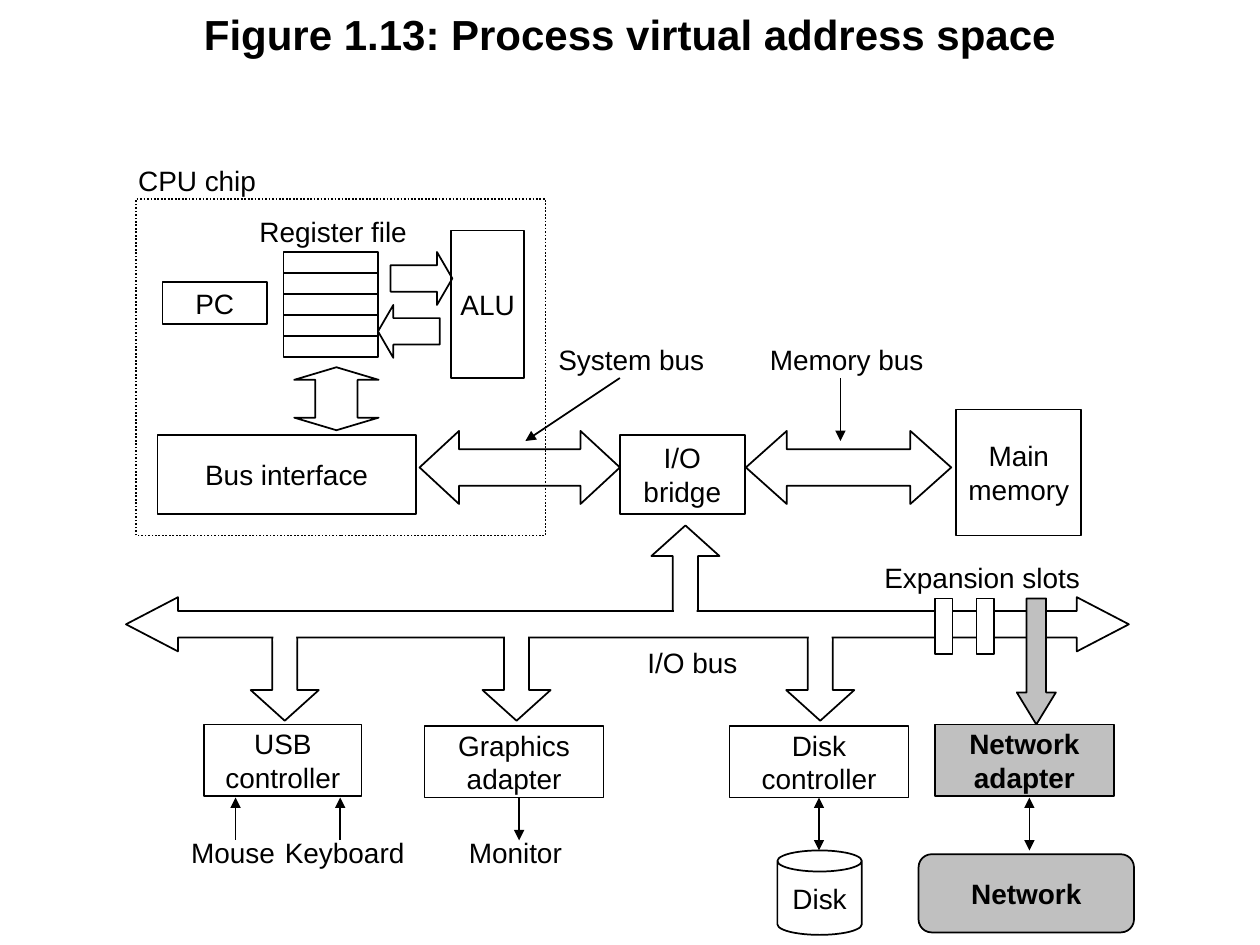
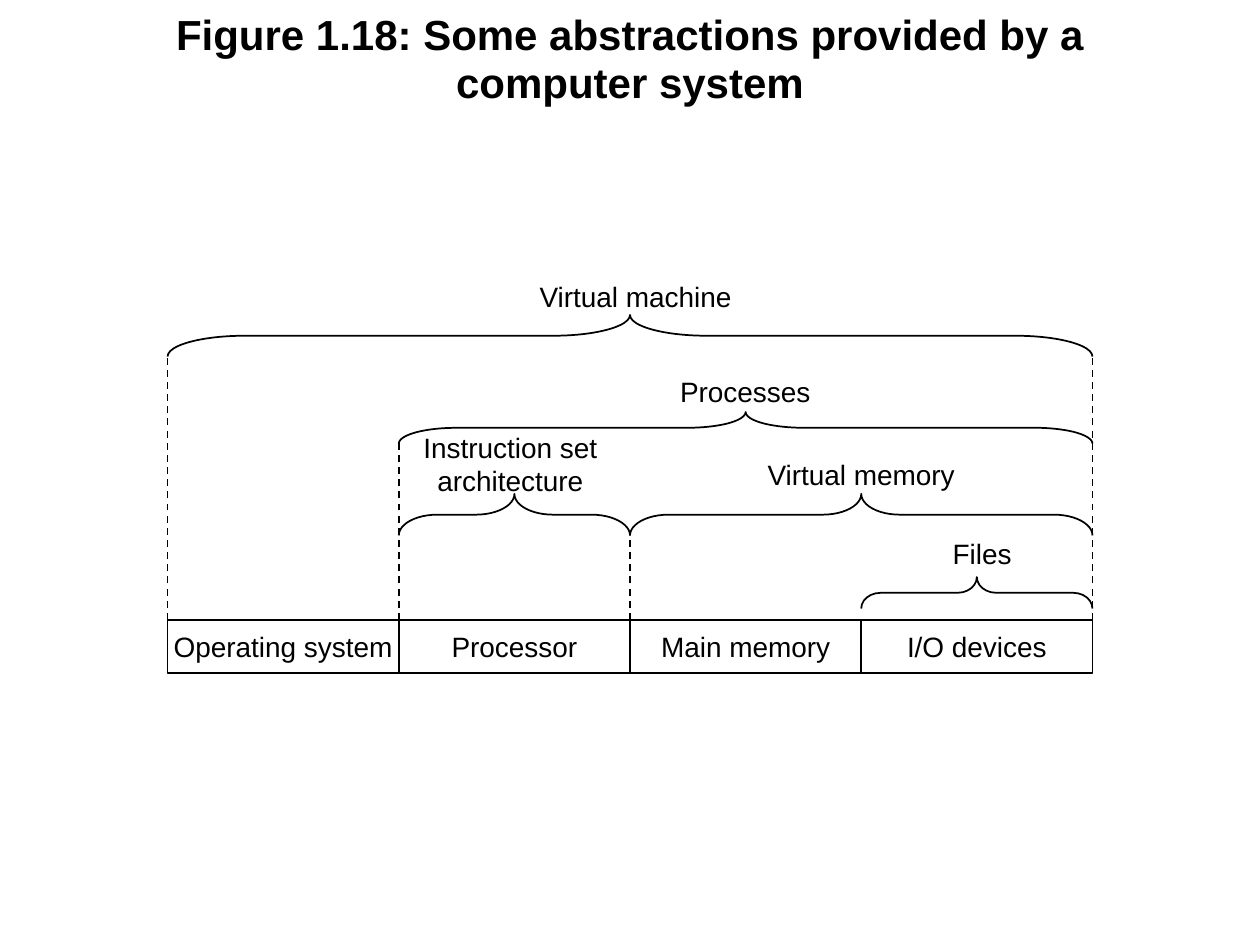
from lxml import etree
from pptx import Presentation
from pptx.dml.color import RGBColor
from pptx.enum.dml import MSO_LINE
from pptx.enum.shapes import MSO_CONNECTOR, MSO_SHAPE
from pptx.enum.text import MSO_ANCHOR, MSO_AUTO_SIZE, PP_ALIGN
from pptx.oxml.ns import qn
from pptx.util import Inches, Pt

RECT, ROUNDED, CAN = MSO_SHAPE.RECTANGLE, MSO_SHAPE.ROUNDED_RECTANGLE, MSO_SHAPE.CAN
LEFT, RIGHT = MSO_SHAPE.LEFT_ARROW, MSO_SHAPE.RIGHT_ARROW
UP, DOWN = MSO_SHAPE.UP_ARROW, MSO_SHAPE.DOWN_ARROW
LEFT_RIGHT = MSO_SHAPE.LEFT_RIGHT_ARROW
BRACE = MSO_SHAPE.LEFT_BRACE
DASH, DOT = MSO_LINE.DASH, MSO_LINE.ROUND_DOT
BOTTOM_SIDE = 2

COLORS = {"ink": "000000", "paper": "FFFFFF", "network": "C0C0C0"}
FONT = "Arial"
LABEL_HEIGHT = 0.37

# Slide 1: hardware organisation
HARDWARE_TITLE = "Figure 1.13: Process virtual address space"
UNITS = [  # text, left, top, width, height
    ("Main\nmemory", 7.59, 3.25, 0.99, 1),
    ("I/O\nbridge", 4.92, 3.45, 0.99, 0.63),
    ("Bus interface", 1.25, 3.45, 2.05, 0.63),
    ("ALU", 3.58, 1.83, 0.58, 1.17),
    ("PC", 1.29, 2.24, 0.83, 0.33),
    ("Graphics\nadapter", 3.37, 5.76, 1.42, 0.57),
    ("USB\ncontroller", 1.62, 5.75, 1.25, 0.57),
]
DISK_CONTROLLER = ("Disk\ncontroller", 5.79, 5.76, 1.42, 0.57)
DISK = ("Disk", 6.17, 6.75, 0.67, 0.67)
NETWORK_UNITS = [
    ("Network\nadapter", RECT, 7.42, 5.75, 1.42, 0.57),
    ("Network", ROUNDED, 7.29, 6.78, 1.71, 0.62),
]
CPU_CHIP = (1.08, 1.58, 3.25, 2.67)
REGISTERS = {"count": 5, "left": 2.25, "top": 2, "width": 0.75, "height": 0.5 / 3}
DATA_PATHS = [  # preset, left, top, width, height, adjustments, rotation
    (LEFT_RIGHT, 5.92, 3.42, 1.63, 0.58, (0.5, 0.56), 0),
    (LEFT_RIGHT, 3.33, 3.42, 1.59, 0.58, (0.5, 0.54), 0),
    (RIGHT, 3.1, 2, 0.49, 0.42, (0.5, 0.29), 0),
    (LEFT, 3, 2.42, 0.49, 0.42, (0.5, 0.29), 0),
    (LEFT_RIGHT, 2.42, 2.83, 0.5, 0.67, (0.5, 0.2), 90),
]
IO_BUS = (1, 4.74, 7.96, 0.43)
BUS_BRANCHES = [  # preset, centre, arrow top, top of the opening in the bus edge
    (UP, 5.44, 4.17, 4.83),
    (DOWN, 6.51, 4.97, 4.92),
    (DOWN, 4.1, 4.97, 4.92),
    (DOWN, 2.26, 4.97, 4.92),
]
BRANCH_SIZE, OPENING_SIZE = (0.54, 0.75), (0.18, 0.17)
SLOT_LEFTS = (7.42, 7.75)
HARDWARE_LABELS = [  # text, left, top, width
    ("Register file", 1.96, 1.65, 1.37),
    ("CPU chip", 1, 1.25, 1.13),
    ("System bus", 4.33, 2.67, 1.36),
    ("Memory bus", 6.01, 2.67, 1.42),
    ("Mouse", 1.42, 6.58, 0.86),
    ("Keyboard", 2.16, 6.58, 1.15),
    ("Monitor", 3.62, 6.58, 0.94),
    ("I/O bus", 5.04, 5.07, 0.91),
    ("Expansion slots", 6.92, 4.4, 1.75),
]
POINTERS = [  # start, end, ends that carry an arrowhead
    ((4.92, 3), (4.17, 3.5), ("tailEnd",)),
    ((6.67, 3), (6.67, 3.5), ("tailEnd",)),
    ((1.87, 6.33), (1.87, 6.67), ("headEnd",)),
    ((2.7, 6.33), (2.7, 6.67), ("headEnd",)),
    ((4.12, 6.33), (4.12, 6.67), ("tailEnd",)),
    ((8.17, 6.33), (8.17, 6.75), ("headEnd", "tailEnd")),
]

# Slide 2: abstractions
ABSTRACTION_TITLE = "Figure 1.18: Some abstractions provided by a computer system"
COMPONENTS = ["Operating system", "Processor", "Main memory", "I/O devices"]
ROW_LEFT, ROW_TOP, ROW_RIGHT, ROW_HEIGHT = 1.33, 4.92, 8.67, 0.42
ABSTRACTIONS = [  # label, its left, top, width; first and last edge, brace top, depth, curl
    ("Processes", 5.3, 2.92, 1.23, 1, 4, 3.27, 0.25, 1 / 12),
    ("Files", 7.46, 4.21, 0.67, 3, 4, 4.58, 0.25, 1 / 12),
    ("Virtual memory", 5.99, 3.58, 1.69, 2, 4, 3.92, 0.33, 1 / 12),
    ("Virtual machine", 4.18, 2.17, 1.73, 0, 4, 2.5, 0.33, 1 / 12),
    ("Instruction set\narchitecture", 3.26, 3.36, 1.58, 1, 2, 3.92, 0.33, 1 / 6),
]
GUIDES = [(0, 2.83), (1, 3.5), (2, 4.25), (4, 2.83)]  # column edge, top


def color(name):
    return RGBColor.from_string(COLORS[name])


def write(shape, text, bold=False):
    frame = shape.text_frame
    frame.word_wrap = False
    frame.vertical_anchor = MSO_ANCHOR.MIDDLE
    frame.text = text
    for paragraph in frame.paragraphs:
        paragraph.alignment = PP_ALIGN.CENTER
        font = paragraph.font
        font.name, font.size, font.bold = FONT, Pt(16), bold
        font.color.rgb = color("ink")


def add_figure_slide(deck, title):
    slide = deck.slides.add_slide(deck.slide_layouts[5])
    heading = slide.shapes.title
    heading.left, heading.top = Inches(0.5), Inches(0.05)
    heading.width, heading.height = Inches(9), Inches(0.95)
    frame = heading.text_frame
    frame.text = title
    frame.word_wrap = True
    frame.auto_size = MSO_AUTO_SIZE.NONE
    frame.vertical_anchor = MSO_ANCHOR.TOP
    paragraph = frame.paragraphs[0]
    paragraph.alignment, paragraph.line_spacing = PP_ALIGN.CENTER, 0.95
    font = paragraph.font
    font.name, font.size, font.bold = FONT, Pt(24), True
    font.color.rgb = color("ink")
    return slide


def add_part(slide, preset, left, top, width, height, text="", fill=None,
             adjustments=(), outlined=True, bold=False):
    part = slide.shapes.add_shape(
        preset, Inches(left), Inches(top), Inches(width), Inches(height))
    part.shadow.inherit = False
    for index, value in enumerate(adjustments):
        part.adjustments[index] = value
    if fill:
        part.fill.solid()
        part.fill.fore_color.rgb = color(fill)
    else:
        part.fill.background()
    if outlined:
        part.line.color.rgb = color("ink")
        part.line.width = Pt(1)
    else:
        part.line.fill.background()
    if text:
        write(part, text, bold)
    return part


def add_label(slide, text, left, top, width):
    """Add unboxed text; without side margins the words keep to their lines."""
    height = LABEL_HEIGHT + 0.27 * text.count("\n")
    label = slide.shapes.add_textbox(
        Inches(left), Inches(top), Inches(width), Inches(height))
    write(label, text)
    frame = label.text_frame
    frame.margin_left = frame.margin_right = 0
    frame.auto_size = MSO_AUTO_SIZE.NONE


def add_line(slide, start, end, heads=(), dash=None):
    line = slide.shapes.add_connector(
        MSO_CONNECTOR.STRAIGHT, *(Inches(value) for value in start + end))
    line.line.color.rgb = color("ink")
    line.line.width = Pt(1)
    if dash:
        line.line.dash_style = dash
    for head in heads:
        etree.SubElement(line.line._get_or_add_ln(), qn("a:" + head), type="triangle")
    etree.SubElement(line._element.spPr, qn("a:effectLst"))
    return line


def add_brace(slide, left, right, top, depth, curl):
    """Draw a brace that points up; curl is the share of its length each curve takes."""
    length = right - left
    brace = add_part(slide, BRACE, (left + right - depth) / 2, top + (depth - length) / 2,
                     depth, length, adjustments=(curl * length / depth, 0.5))
    brace.rotation = 90


def build_hardware(deck):
    slide = add_figure_slide(deck, HARDWARE_TITLE)
    for text, *place in UNITS:
        add_part(slide, RECT, *place, text=text)
    for row in range(REGISTERS["count"]):
        add_part(slide, RECT, REGISTERS["left"], REGISTERS["top"] + row * REGISTERS["height"],
                 REGISTERS["width"], REGISTERS["height"])
    for *place, adjustments, rotation in DATA_PATHS:
        add_part(slide, *place, adjustments=adjustments).rotation = rotation
    add_part(slide, RECT, *CPU_CHIP).line.dash_style = DOT

    for preset, centre, top, _ in BUS_BRANCHES:
        add_part(slide, preset, centre - BRANCH_SIZE[0] / 2, top, *BRANCH_SIZE,
                 adjustments=(0.37, 0.45))
    add_part(slide, LEFT_RIGHT, *IO_BUS, fill="paper", adjustments=(0.49, 0.96))
    for _, centre, _, opening_top in BUS_BRANCHES:
        add_part(slide, RECT, centre - OPENING_SIZE[0] / 2, opening_top, *OPENING_SIZE,
                 fill="paper", outlined=False)
    for left in SLOT_LEFTS:
        add_part(slide, RECT, left, 4.75, 0.14, 0.44, fill="paper")
    add_part(slide, DOWN, 8.07, 4.75, 0.31, 1, fill="network", adjustments=(0.5, 0.82))

    for text, *place in NETWORK_UNITS:
        add_part(slide, *place, text=text, fill="network", bold=True)
    text, *place = DISK_CONTROLLER
    controller = add_part(slide, RECT, *place, text=text)
    text, *place = DISK
    add_part(slide, CAN, *place, text=text)
    disk_link = add_line(slide, (6.5, 6.33), (6.5, 6.75), ("headEnd", "tailEnd"))
    disk_link.begin_connect(controller, BOTTOM_SIDE)

    for pointer in POINTERS:
        add_line(slide, *pointer)
    for label in HARDWARE_LABELS:
        add_label(slide, *label)


def build_abstractions(deck):
    slide = add_figure_slide(deck, ABSTRACTION_TITLE)
    column_width = (ROW_RIGHT - ROW_LEFT) / len(COMPONENTS)
    edges = [ROW_LEFT + i * column_width for i in range(len(COMPONENTS) + 1)]
    for text, left in zip(COMPONENTS, edges):
        add_part(slide, RECT, left, ROW_TOP, column_width, ROW_HEIGHT, text=text)
    for edge, top in GUIDES:
        add_line(slide, (edges[edge], ROW_TOP), (edges[edge], top), dash=DASH)
    for text, left, label_top, width, first, last, top, depth, curl in ABSTRACTIONS:
        add_brace(slide, edges[first], edges[last], top, depth, curl)
        add_label(slide, text, left, label_top, width)


def main():
    deck = Presentation()
    deck.slide_width, deck.slide_height = Inches(10), Inches(7.5)
    build_hardware(deck)
    build_abstractions(deck)
    deck.save("out.pptx")


if __name__ == "__main__":
    main()
